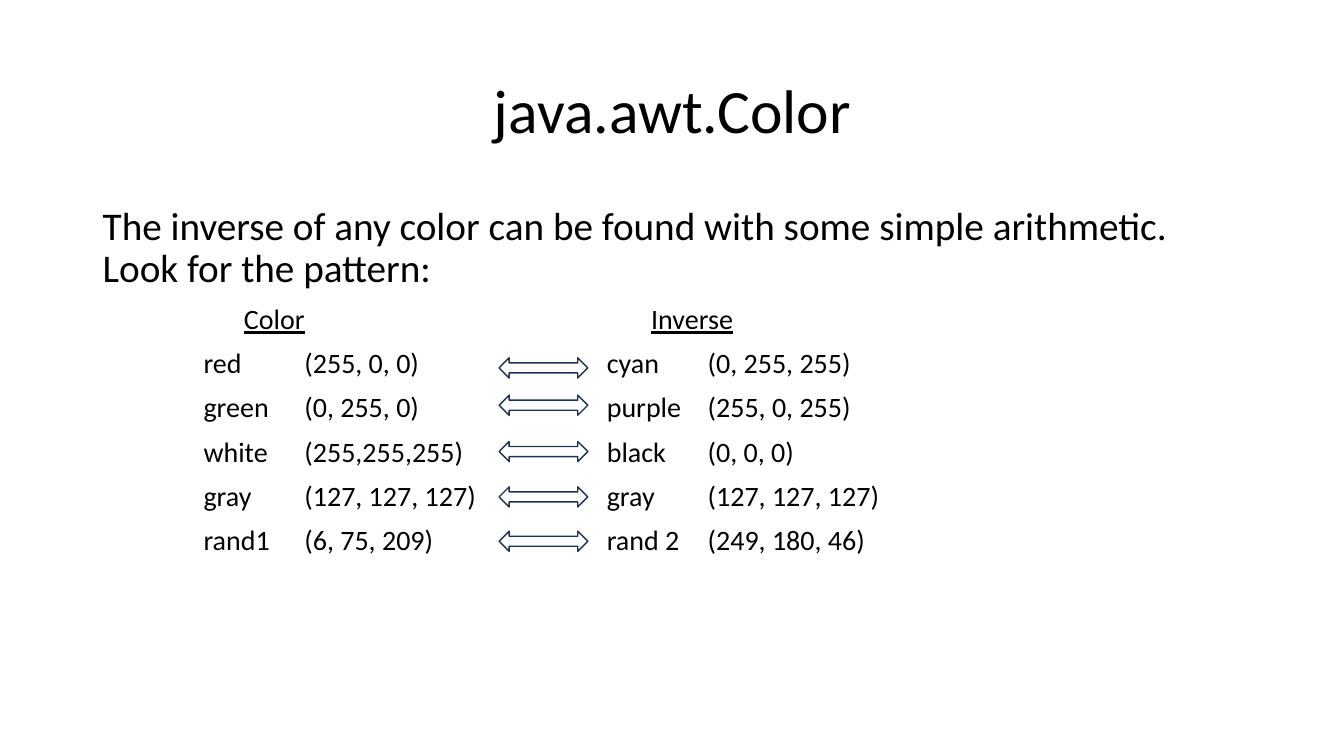
from lxml import etree
from pptx import Presentation
from pptx.dml.color import RGBColor
from pptx.enum.shapes import MSO_SHAPE
from pptx.enum.text import MSO_ANCHOR, PP_ALIGN
from pptx.oxml.ns import qn
from pptx.util import Inches, Pt

TITLE = "java.awt.Color"
INTRO = ("The inverse of any color can be found with some simple arithmetic. "
         "Look for the pattern:")
HEADINGS = ("Color", "Inverse")
# color, its RGB, inverse, its RGB, top of the arrow between them
COLOR_PAIRS = [
    ("red", "(255, 0, 0)", "cyan", "(0, 255, 255)", 3.55),
    ("green", "(0, 255, 0)", "purple", "(255, 0, 255)", 3.92),
    ("white", "(255,255,255)", "black", "(0, 0, 0)", 4.38),
    ("gray", "(127, 127, 127)", "gray", "(127, 127, 127)", 4.83),
    ("rand1", "(6, 75, 209)", "rand 2", "(249, 180, 46)", 5.27),
]

HEADING_TABS = (1.4, 5.44)
PAIR_TABS = (1, 2, 5, 6)
ARROW_LEFT, ARROW_WIDTH, ARROW_HEIGHT = 4.95, 0.88, 0.2

FONT = "Calibri"
BLACK = RGBColor(0x00, 0x00, 0x00)
NAVY = RGBColor(0x1E, 0x32, 0x56)


def format_runs(p, size):
    p.line_spacing = 0.9
    for r in p.runs:
        r.font.name = FONT
        r.font.size = Pt(size)
        r.font.color.rgb = BLACK


def add_tabbed_line(tf, cells, tabs, underline=False):
    """Add a paragraph with each cell at its own tab stop."""
    p = tf.add_paragraph()
    tab_list = etree.SubElement(p._p.get_or_add_pPr(), qn("a:tabLst"))
    for tab in tabs:
        etree.SubElement(tab_list, qn("a:tab"), pos=str(Inches(tab)), algn="l")
    for cell in cells:
        p.add_run().text = "\t"
        r = p.add_run()
        r.text = cell
        r.font.underline = underline
    p.space_before = Pt(10)
    format_runs(p, 20)


def add_arrow(slide, top):
    sp = slide.shapes.add_shape(
        MSO_SHAPE.LEFT_RIGHT_ARROW, Inches(ARROW_LEFT), Inches(top),
        Inches(ARROW_WIDTH), Inches(ARROW_HEIGHT))
    sp.shadow.inherit = False
    sp.fill.background()
    sp.line.color.rgb = NAVY
    sp.line.width = Pt(1)


def main():
    prs = Presentation()
    prs.slide_width, prs.slide_height = Inches(13.33), Inches(7.5)
    slide = prs.slides.add_slide(prs.slide_layouts[5])

    title = slide.shapes.title
    title.left, title.top = Inches(0.92), Inches(0.4)
    title.width, title.height = Inches(11.5), Inches(1.45)
    tf = title.text_frame
    tf.text = TITLE
    tf.vertical_anchor = MSO_ANCHOR.MIDDLE
    tf.paragraphs[0].alignment = PP_ALIGN.CENTER
    format_runs(tf.paragraphs[0], 44)

    body = slide.shapes.add_textbox(
        Inches(0.92), Inches(2), Inches(11.01), Inches(4.76))
    tf = body.text_frame
    tf.word_wrap = True
    tf.text = INTRO
    format_runs(tf.paragraphs[0], 28)
    add_tabbed_line(tf, HEADINGS, HEADING_TABS, underline=True)
    for *cells, arrow_top in COLOR_PAIRS:
        add_tabbed_line(tf, cells, PAIR_TABS)
        add_arrow(slide, arrow_top)

    prs.save("out.pptx")


if __name__ == "__main__":
    main()
